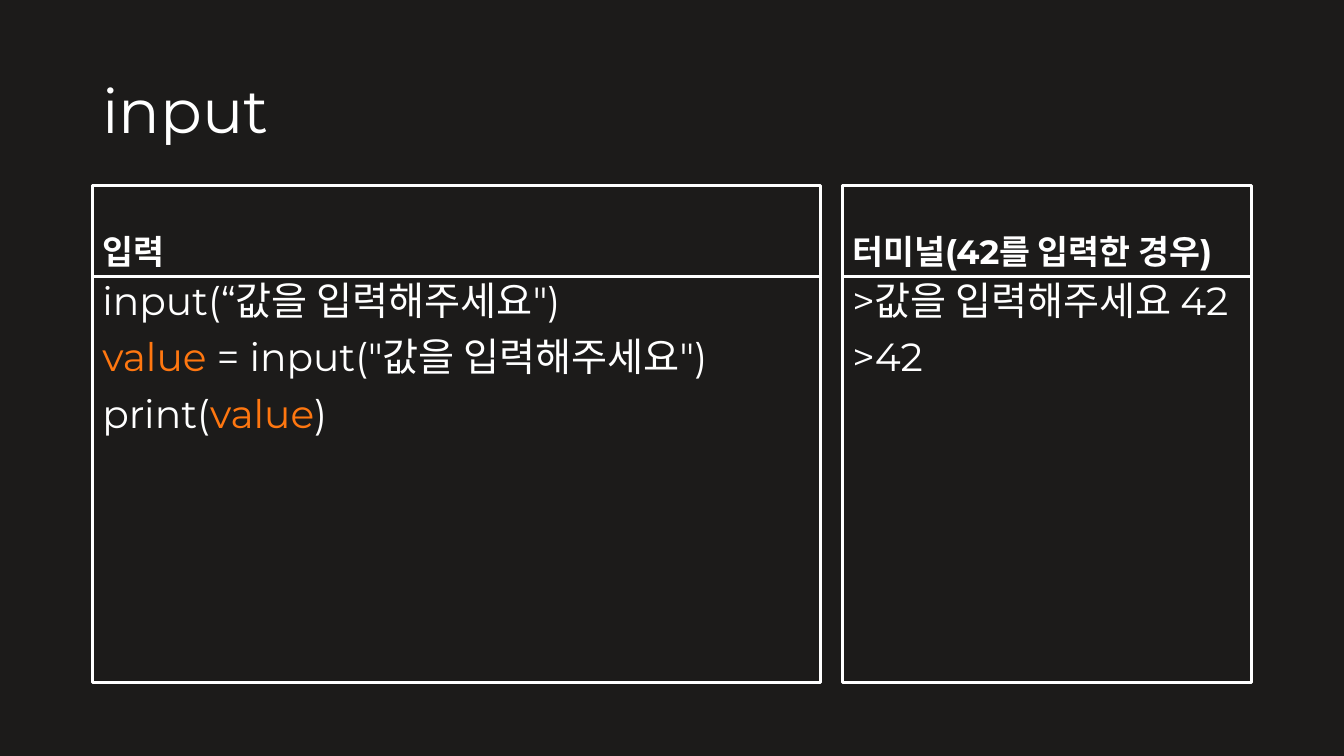
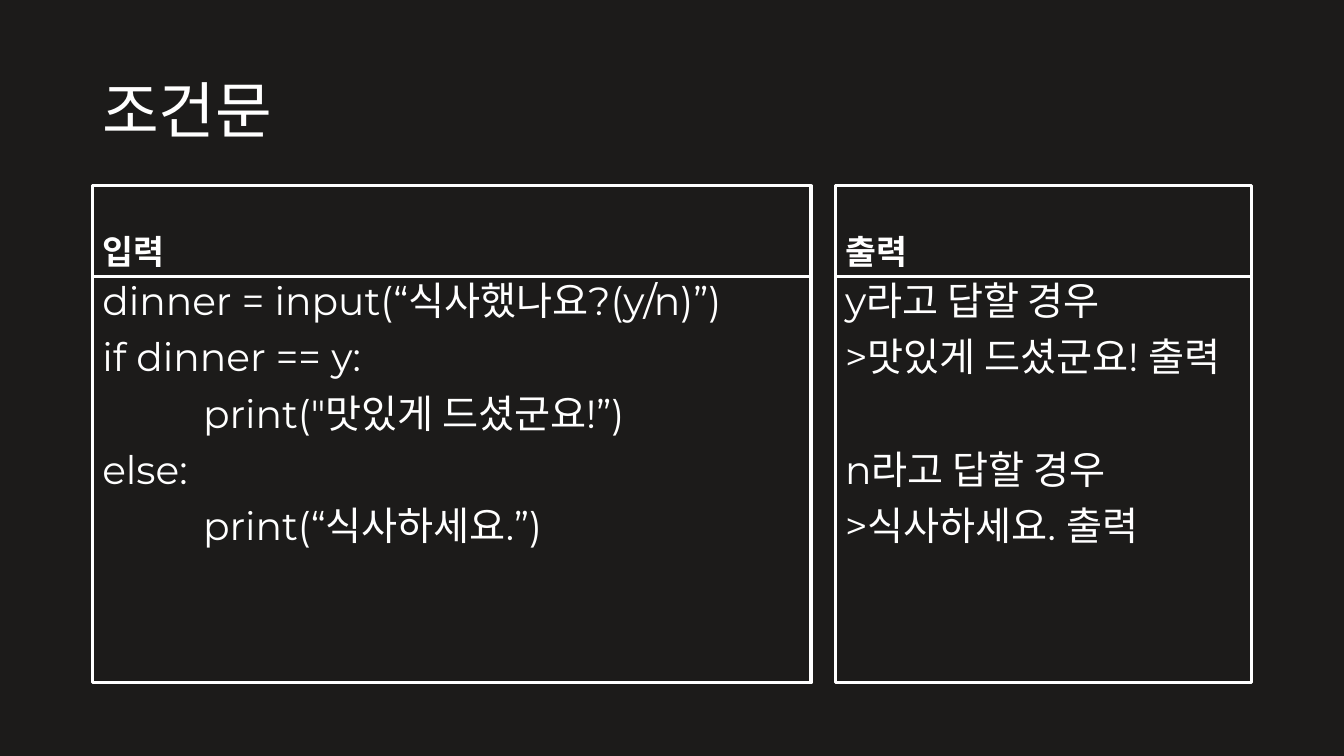
"""Build two Python lesson slides that pair code with its output."""
from dataclasses import dataclass

from pptx import Presentation
from pptx.dml.color import RGBColor
from pptx.enum.shapes import MSO_SHAPE as Preset
from pptx.enum.text import MSO_ANCHOR as Anchor, PP_ALIGN as Align
from pptx.util import Cm, Pt

COLORS = {"background": "1C1B1A", "text": "FFFFFF", "variable": "FF7710"}
FONT = "Montserrat"
VARIABLE = "value"


@dataclass
class Line:
    """One line of text, in pieces, with its indent level and space before."""
    pieces: tuple
    level: int = 0
    before: int = 10


LESSONS = [
    {
        "title": "input",
        "widths": (18.34, 10.31),
        "panels": [
            ("입력", [
                Line(("input(“값을 입력해주세요\")",)),
                Line((VARIABLE, " = input(\"값을 입력해주세요\")")),
                Line(("print(", VARIABLE, ")")),
            ]),
            ("터미널(42를 입력한 경우)", [
                Line((">값을 입력해주세요 42",)),
                Line((">42",)),
            ]),
        ],
    },
    {
        "title": "조건문",
        "widths": (18.11, 10.49),
        "panels": [
            ("입력", [
                Line(("dinner = input(“식사했나요?(y/n)”)",)),
                Line(("if dinner == y:",)),
                Line(("print(\"맛있게 드셨군요!”)",), level=1),
                Line(("else:",)),
                Line(("print(“식사하세요.”)",), level=1),
            ]),
            ("출력", [
                Line(("y라고 답할 경우",)),
                Line((">맛있게 드셨군요! 출력",)),
                Line(("n라고 답할 경우",), before=50),
                Line((">식사하세요. 출력",)),
            ]),
        ],
    },
]

LEFT, WIDTH = 2.33, 29.21
TITLE_TOP, TITLE_HEIGHT = 1.02, 3.68
HEADING_TOP, HEADING_HEIGHT, BODY_HEIGHT = 4.68, 2.29, 10.24
INDENT = Cm(2.54)


def color(name):
    return RGBColor.from_string(COLORS[name])


def write(frame, lines, size, anchor, bold=False):
    frame.word_wrap = True
    frame.vertical_anchor = anchor
    for index, line in enumerate(lines):
        paragraph = frame.add_paragraph() if index else frame.paragraphs[0]
        paragraph.alignment = Align.LEFT
        paragraph.line_spacing = 0.9
        paragraph.space_before = Pt(line.before)
        if line.level:
            paragraph._p.get_or_add_pPr().set("marL", str(INDENT * line.level))
        for piece in line.pieces:
            run = paragraph.add_run()
            run.text = piece
            run.font.name = FONT
            run.font.size = Pt(size)
            run.font.bold = bold
            run.font.color.rgb = color("variable" if piece == VARIABLE else "text")


def add_box(slide, left, top, width, height):
    box = slide.shapes.add_shape(Preset.RECTANGLE, Cm(left), Cm(top), Cm(width), Cm(height))
    box.shadow.inherit = False
    box.fill.background()
    box.line.color.rgb = color("text")
    box.line.width = Pt(2.25)
    return box.text_frame


def add_panel(slide, left, width, heading, lines):
    heading_frame = add_box(slide, left, HEADING_TOP, width, HEADING_HEIGHT)
    write(heading_frame, [Line((heading,))], 24, Anchor.BOTTOM, bold=True)
    body_frame = add_box(slide, left, HEADING_TOP + HEADING_HEIGHT, width, BODY_HEIGHT)
    write(body_frame, lines, 28, Anchor.TOP)


def add_lesson(deck, lesson):
    slide = deck.slides.add_slide(deck.slide_layouts[6])
    slide.background.fill.solid()
    slide.background.fill.fore_color.rgb = color("background")
    title = slide.shapes.add_textbox(Cm(LEFT), Cm(TITLE_TOP), Cm(WIDTH), Cm(TITLE_HEIGHT))
    write(title.text_frame, [Line((lesson["title"],), before=0)], 44, Anchor.MIDDLE)
    lefts = (LEFT, LEFT + WIDTH - lesson["widths"][1])
    for left, width, panel in zip(lefts, lesson["widths"], lesson["panels"]):
        add_panel(slide, left, width, *panel)


def main():
    deck = Presentation()
    deck.slide_width, deck.slide_height = Cm(33.87), Cm(19.05)
    for lesson in LESSONS:
        add_lesson(deck, lesson)
    deck.save("out.pptx")


if __name__ == "__main__":
    main()
